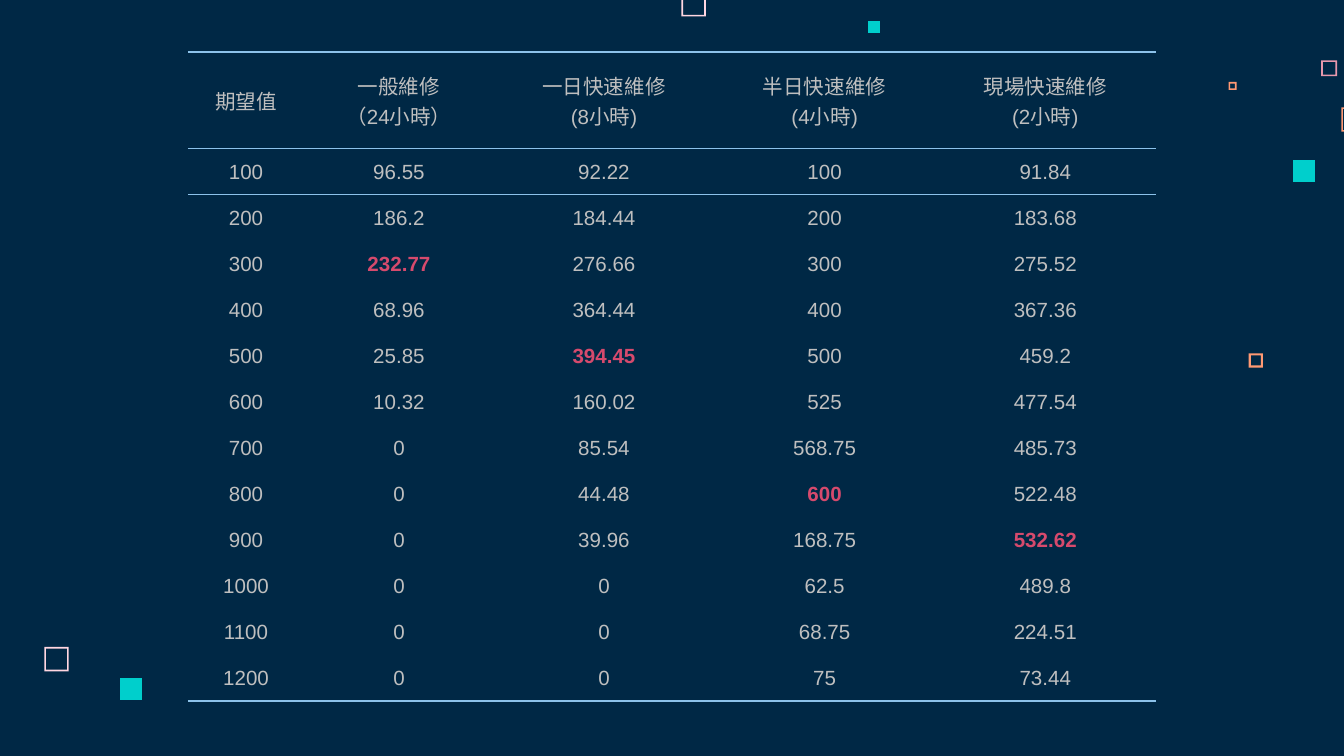
from dataclasses import dataclass

from lxml import etree
from pptx import Presentation
from pptx.dml.color import RGBColor
from pptx.enum import text
from pptx.oxml.ns import qn
from pptx.slide import Slide
from pptx.table import Table, _Cell
from pptx.util import Cm, Pt

COLORS = {
    "navy": "002845",
    "rule": "8CC2EA",
    "value": "BFBFBF",
    "peak": "D64A6D",
    "blush": "FFD6E1",
    "rose": "E898AC",
    "orange": "FF9973",
    "teal": "00CFCC",
}
NO_STYLE = "{2D5ABB26-0587-4C30-8999-92F81FD0307C}"


@dataclass
class Square:
    """Decorative square in cm; a border of 0 makes it solid."""
    left: float
    top: float
    side: float
    color: str
    border: float = 0


@dataclass
class Plan:
    """One repair service, with its value at each expected level."""
    heading: str
    width: float
    values: list[str]
    peak: str = ""


SQUARES = [
    Square(12.88, -0.15, 0.46, "blush", 0.03),
    Square(24.97, 1.14, 0.3, "rose", 0.03),
    Square(23.22, 1.55, 0.15, "orange", 0.03),
    Square(25.35, 2.03, 0.46, "orange", 0.03),
    Square(24.43, 3.02, 0.43, "teal"),
    Square(23.6, 6.68, 0.27, "orange", 0.04),
    Square(16.41, 0.4, 0.23, "teal"),
    Square(0.84, 12.23, 0.46, "blush", 0.03),
    Square(2.26, 12.81, 0.43, "teal"),
]

PLANS = [
    Plan("期望值", 2.2, [str(level) for level in range(100, 1300, 100)]),
    Plan("一般維修\n（24小時）", 3.58,
         "96.55 186.2 232.77 68.96 25.85 10.32 0 0 0 0 0 0".split(), "232.77"),
    Plan("一日快速維修\n(8小時)", 4.17,
         "92.22 184.44 276.66 364.44 394.45 160.02 85.54 44.48 39.96 0 0 0".split(), "394.45"),
    Plan("半日快速維修\n(4小時)", 4.17,
         "100 200 300 400 500 525 568.75 600 168.75 62.5 68.75 75".split(), "600"),
    Plan("現場快速維修\n(2小時)", 4.17,
         "91.84 183.68 275.52 367.36 459.2 477.54 485.73 522.48 532.62 489.8 224.51 73.44".split(),
         "532.62"),
]
HEADER_HEIGHT, ROW_HEIGHT = 1.83, 0.87


def rgb(name: str) -> RGBColor:
    return RGBColor.from_string(COLORS[name])


def draw_square(slide: Slide, square: Square) -> None:
    left, top = square.left, square.top
    right, bottom = left + square.side, top + square.side

    def emu(*points: tuple[float, float]) -> list[tuple[int, int]]:
        return [(Cm(x), Cm(y)) for x, y in points]

    outer = emu((left, top), (left, bottom), (right, bottom), (right, top))
    builder = slide.shapes.build_freeform(*outer[0])
    builder.add_line_segments(outer[1:])
    if square.border:
        b = square.border
        hole = emu((right - b, top + b), (right - b, bottom - b),
                   (left + b, bottom - b), (left + b, top + b))
        builder.move_to(*hole[0])
        builder.add_line_segments(hole[1:])
    shape = builder.convert_to_shape()
    shape.shadow.inherit = False
    shape.fill.solid()
    shape.fill.fore_color.rgb = rgb(square.color)
    shape.line.fill.background()


def add_rule(cell: _Cell, side: str) -> None:
    """Draw a cell border; side is lnT or lnB, and lnT comes first."""
    rule = etree.SubElement(cell._tc.get_or_add_tcPr(), qn(f"a:{side}"), w=str(Pt(1)))
    fill = etree.SubElement(rule, qn("a:solidFill"))
    etree.SubElement(fill, qn("a:srgbClr"), val=COLORS["rule"])


def write_cell(cell: _Cell, content: str, peak: bool, rules: list[str]) -> None:
    for side in rules:
        add_rule(cell, side)
    cell.fill.background()
    cell.vertical_anchor = text.MSO_ANCHOR.MIDDLE
    cell.margin_left = cell.margin_right = cell.margin_top = Cm(0.02)
    cell.margin_bottom = 0
    paragraph = cell.text_frame.paragraphs[0]
    paragraph.alignment = text.PP_ALIGN.CENTER
    for number, line in enumerate(content.split("\n")):
        if number:
            paragraph.add_line_break()
        run = paragraph.add_run()
        run.text = line
        run.font.name = "Arial"
        run.font.size = Pt(11)
        run.font.bold = peak
        run.font.color.rgb = rgb("peak" if peak else "value")


def clear_style(table: Table) -> None:
    table.first_row = table.horz_banding = False
    table._tbl.tblPr.find(qn("a:tableStyleId")).text = NO_STYLE


def draw_table(slide: Slide, plans: list[Plan]) -> None:
    last = len(plans[0].values)
    heights = [HEADER_HEIGHT] + [ROW_HEIGHT] * last
    width = sum(plan.width for plan in plans)
    table = slide.shapes.add_table(last + 1, len(plans), Cm(3.55), Cm(0.98),
                                   Cm(width), Cm(sum(heights))).table
    clear_style(table)
    for row, height in zip(table.rows, heights):
        row.height = Cm(height)
    rules = {0: ["lnT", "lnB"], 1: ["lnT"], last: ["lnB"]}
    for column, plan in enumerate(plans):
        table.columns[column].width = Cm(plan.width)
        for row, content in enumerate([plan.heading, *plan.values]):
            write_cell(table.cell(row, column), content, content == plan.peak,
                       rules.get(row, []))


def main() -> None:
    deck = Presentation()
    deck.slide_width, deck.slide_height = Cm(25.4), Cm(14.29)
    slide = deck.slides.add_slide(deck.slide_layouts[6])
    slide.background.fill.solid()
    slide.background.fill.fore_color.rgb = rgb("navy")
    for square in SQUARES:
        draw_square(slide, square)
    draw_table(slide, PLANS)
    deck.save("out.pptx")


if __name__ == "__main__":
    main()
